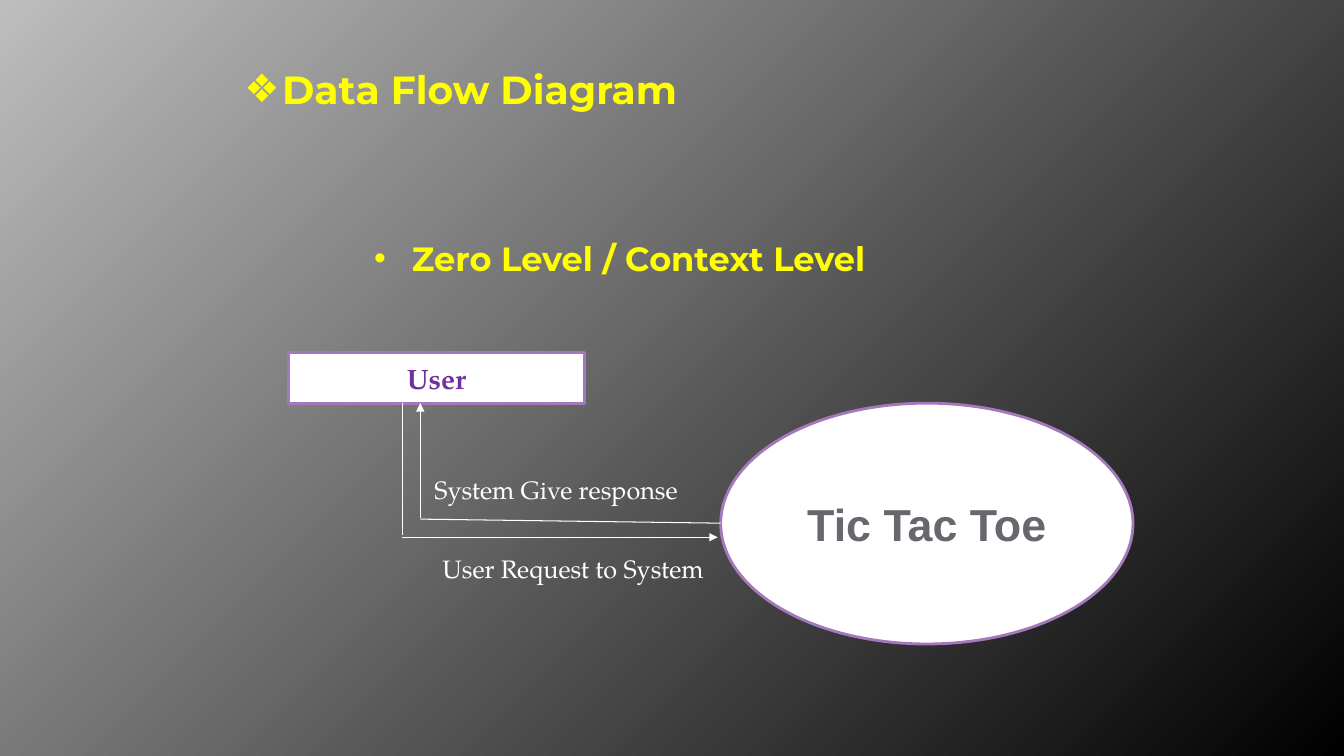
from lxml import etree
from pptx import Presentation
from pptx.dml.color import RGBColor
from pptx.enum.shapes import MSO_CONNECTOR, MSO_SHAPE
from pptx.enum.text import MSO_ANCHOR, MSO_AUTO_SIZE, PP_ALIGN
from pptx.oxml.ns import qn
from pptx.util import Pt

LEFT, CENTER = PP_ALIGN.LEFT, PP_ALIGN.CENTER
TOP, MIDDLE = MSO_ANCHOR.TOP, MSO_ANCHOR.MIDDLE
STRAIGHT = MSO_CONNECTOR.STRAIGHT
COLORS = {
    "heading": "FFFF00",
    "light": "FFFFFF",
    "outline": "A379BB",
    "user": "7030A0",
    "system": "69676D",
    "gradient start": "BDBDBD",
    "gradient end": "000000",
}
SERIF, HEADING_FONT = "TeX Gyre Pagella", "Montserrat"


def write_text(shape, text, size, font, color, bold=False, align=LEFT,
               anchor=TOP, bullet=None):
    frame = shape.text_frame
    frame.word_wrap = True
    frame.auto_size = MSO_AUTO_SIZE.NONE
    frame.vertical_anchor = anchor
    paragraph = frame.paragraphs[0]
    paragraph.alignment = align
    paragraph.space_before = Pt(0)
    run = paragraph.add_run()
    run.text = text
    run.font.size = Pt(size)
    run.font.name = font
    run.font.bold = bold
    run.font.color.rgb = RGBColor.from_string(COLORS[color])
    if bullet:
        properties = paragraph._p.get_or_add_pPr()
        properties.set("marL", str(Pt(27)))
        properties.set("indent", str(-Pt(27)))
        etree.SubElement(properties, qn("a:buFont")).set("typeface", "Arial")
        etree.SubElement(properties, qn("a:buChar")).set("char", bullet)


presentation = Presentation()
presentation.slide_width, presentation.slide_height = Pt(960), Pt(540)
slide = presentation.slides.add_slide(presentation.slide_layouts[1])
shapes = slide.shapes

# Background gradient spreading from the top left corner
fill = slide.background.fill
fill.gradient()
for stop, name in zip(fill.gradient_stops, ("gradient start", "gradient end")):
    stop.color.rgb = RGBColor.from_string(COLORS[name])
linear = slide.background._cSld.find(".//" + qn("a:lin"))
path = etree.Element(qn("a:path"), {"path": "circle"})
etree.SubElement(path, qn("a:fillToRect"), {"r": "100000", "b": "100000"})
linear.getparent().replace(linear, path)

# Headings
headings = [
    (shapes.title, "Data Flow Diagram", (123.8, 43.2, 410.4, 41), 28, CENTER, "❖"),
    (slide.placeholders[1], "Zero Level / Context Level",
     (260, 166.3, 396, 36), 24, LEFT, "•"),
]
for shape, text, (left, top, width, height), size, align, bullet in headings:
    shape.left, shape.top = Pt(left), Pt(top)
    shape.width, shape.height = Pt(width), Pt(height)
    write_text(shape, text, size, HEADING_FONT, "heading", bold=True,
               align=align, bullet=bullet)

# User and system nodes
nodes = [
    (MSO_SHAPE.OVAL, "Tic Tac Toe", (514.8, 288, 294.5, 172), 32, "Arial", "system"),
    (MSO_SHAPE.RECTANGLE, "User", (205.9, 252, 211.7, 36), 20, SERIF, "user"),
]
for kind, text, box, size, font, color in nodes:
    node = shapes.add_shape(kind, *map(Pt, box))
    node.shadow.inherit = False
    node.fill.solid()
    node.fill.fore_color.rgb = RGBColor.from_string(COLORS["light"])
    node.line.color.rgb = RGBColor.from_string(COLORS["outline"])
    node.line.width = Pt(2)
    write_text(node, text, size, font, color, bold=True, align=CENTER,
               anchor=MIDDLE)

# Request and response flows: start, end, arrowhead at the end
flows = [
    ((287.3, 288), (287.3, 382.5), False),
    ((287.3, 383.8), (512.6, 383.8), True),
    ((300.2, 370.8), (514.8, 373.7), False),
    ((300.2, 370.1), (300.2, 288), True),
]
for start, end, has_arrow in flows:
    flow = shapes.add_connector(STRAIGHT, *map(Pt, start + end))
    flow.line.color.rgb = RGBColor.from_string(COLORS["light"])
    flow.line.width = Pt(0.75)
    if has_arrow:
        line = flow.line._get_or_add_ln()
        etree.SubElement(line, qn("a:tailEnd")).set("type", "triangle")
    etree.SubElement(flow._element.spPr, qn("a:effectLst"))

# Flow labels
labels = [
    ("User Request to System", (308.9, 391.7, 225.4, 29)),
    ("System Give response", (303.2, 335.5, 236.2, 29)),
]
for text, box in labels:
    write_text(shapes.add_textbox(*map(Pt, box)), text, 18, SERIF, "light")

presentation.save("out.pptx")
